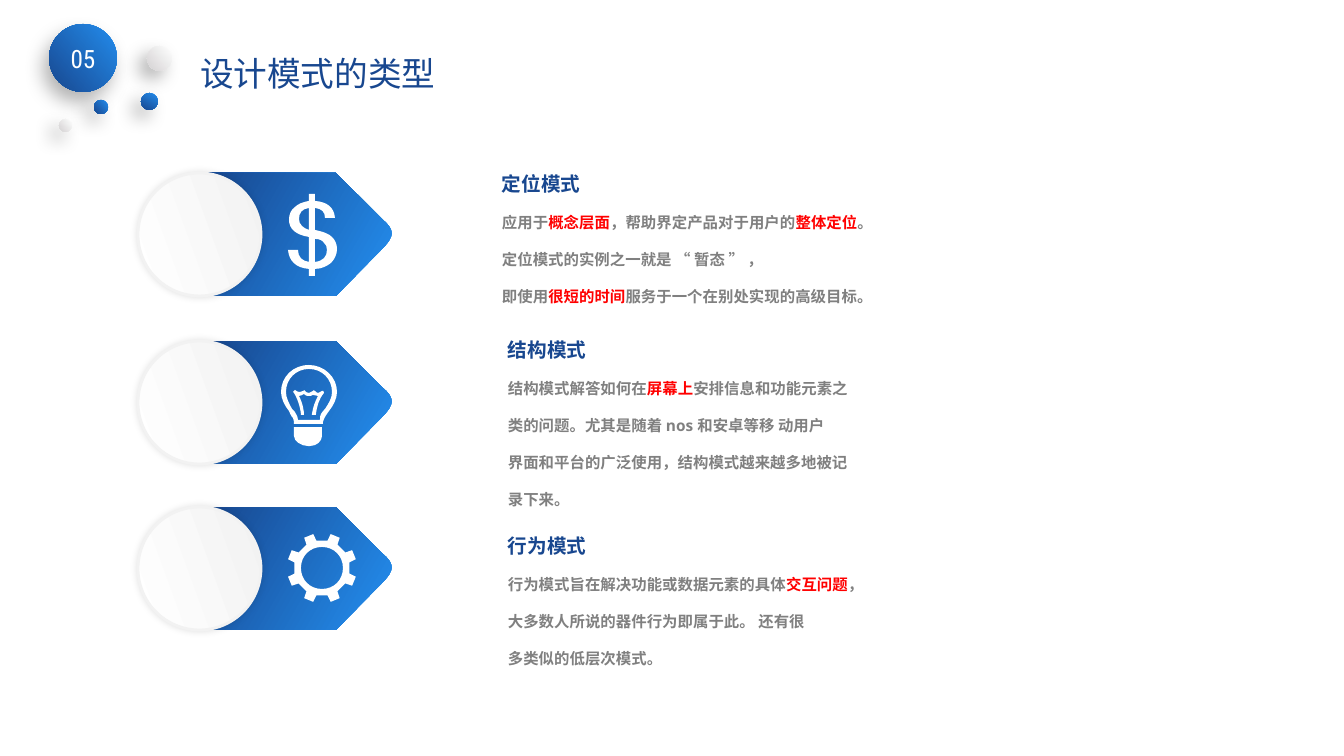
from math import cos, radians, sin

from lxml import etree
from pptx import Presentation
from pptx.dml.color import RGBColor
from pptx.enum.shapes import MSO_SHAPE
from pptx.enum.text import MSO_ANCHOR, MSO_AUTO_SIZE, PP_ALIGN
from pptx.oxml.ns import qn
from pptx.util import Pt

PX = 914400 / 100.8
OVAL = MSO_SHAPE.OVAL
TOP, MIDDLE = MSO_ANCHOR.TOP, MSO_ANCHOR.MIDDLE
LEFT, CENTER = PP_ALIGN.LEFT, PP_ALIGN.CENTER
GROW = MSO_AUTO_SIZE.SHAPE_TO_FIT_TEXT
hue = RGBColor.from_string
NAVY, WHITE, GRAY, RED, PALE = "18478F", "FFFFFF", "808080", "FF0000", "F2F2F2"
BLUE = ("238DED", NAVY)
SILVER = (WHITE, "D4D2D3")
FONT = "Open Sans"


def paint(shape, tones, angle=0, shadow=None):
    """Fill with one tone or a clockwise gradient; shadow is alpha, blur, distance, direction."""
    shape.line.fill.background()
    if len(tones) == 1:
        shape.fill.solid()
        shape.fill.fore_color.rgb = hue(tones[0])
    else:
        shape.fill.gradient()
        shape.fill.gradient_angle = 360 - angle
        for stop, tone in zip(shape.fill.gradient_stops, tones):
            stop.color.rgb = hue(tone)
    shape.shadow.inherit = False
    if shadow:
        alpha, blur, dist, way = shadow
        effects = shape._element.spPr.find(qn("a:effectLst"))
        cast = etree.SubElement(effects, qn("a:outerShdw"), blurRad=str(Pt(blur)),
                                dist=str(Pt(dist)), dir=str(way * 60000), rotWithShape="0")
        tone = etree.SubElement(cast, qn("a:srgbClr"), val="000000")
        etree.SubElement(tone, qn("a:alpha"), val=str(alpha * 1000))


def trace(loops):
    """Draw closed loops of px points; a group of six numbers is a Bezier curve."""
    pen = None
    for start, *parts in loops:
        x, y = [n * PX for n in start]
        if pen is None:
            pen = slide.shapes.build_freeform(x, y, scale=1.0)
        else:
            pen.move_to(x, y)
        pen.add_line_segments([(part[-2] * PX, part[-1] * PX) for part in parts], close=False)
        pen.add_line_segments([], close=True)
    shape = pen.convert_to_shape()
    lines = list(shape._element.iter(qn("a:lnTo")))
    parts = [part for loop in loops for part in loop[1:]]
    for line, part in zip(lines, parts):
        if len(part) == 6:
            line.tag = qn("a:cubicBezTo")
            line.remove(line[0])
            for x, y in zip(part[::2], part[1::2]):
                etree.SubElement(line, qn("a:pt"), x=str(round(x * PX - shape.left)),
                                 y=str(round(y * PX - shape.top)))
    return shape


deck = Presentation()
deck.slide_width, deck.slide_height = round(1344 * PX), round(756 * PX)
slide = deck.slides.add_slide(deck.slide_layouts[5])

# Title
title = slide.shapes.title
title.left, title.top, title.width, title.height = [round(n * PX) for n in (190, 48, 267, 50)]
frame = title.text_frame
frame.word_wrap, frame.auto_size, frame.vertical_anchor = True, GROW, TOP
para = frame.paragraphs[0]
para.alignment = LEFT
run = para.add_run()
run.text = "设计模式的类型"
run.font.name, run.font.size, run.font.color.rgb = FONT, Pt(24), hue(NAVY)

# Number ball and its small companions
balls = [
    (49, 24, 68, BLUE, 140, (30, 14, 8, 120), "05"),
    (147, 46, 25, SILVER, 140, (30, 13, 8, 135), ""),
    (59, 119, 13, SILVER, 140, (30, 13, 8, 135), ""),
    (94, 100, 14, BLUE, 140, (30, 13, 8, 135), ""),
    (141, 93, 17, BLUE, 120, (30, 13, 8, 135), ""),
]
for x, y, size, tones, angle, shadow, label in balls:
    ball = slide.shapes.add_shape(OVAL, *[round(n * PX) for n in (x, y, size, size)])
    paint(ball, tones, angle, shadow)
    if label:
        ball.text_frame.vertical_anchor = MIDDLE
        para = ball.text_frame.paragraphs[0]
        para.alignment = CENTER
        run = para.add_run()
        run.text = label
        run.font.name, run.font.size = "Roboto Condensed", Pt(18)
        run.font.color.rgb = hue(WHITE)

# Arrows with discs
for y in (173, 341, 507):
    arrow = trace([[(336, y), (383, y + 47), (395, y + 57, 394, y + 64, 383, y + 75),
                    (336, y + 123), (207, y + 123), (207, y)]])
    paint(arrow, BLUE, 210)
    disc = slide.shapes.add_shape(OVAL, *[round(n * PX) for n in (138, y, 123, 123)])
    paint(disc, (WHITE, PALE), 340, (11, 5, 0, 0))
    disc.line.color.rgb = hue(PALE)
    disc.line.width = Pt(2)

# Icons
dollar = [
    [(315, 230), (324, 232, 329, 234, 332, 237), (335, 240, 337, 244, 337, 249),
     (337, 254, 335, 259, 331, 263), (327, 266, 322, 269, 315, 269), (315, 276), (309, 276),
     (309, 269), (296, 268, 289, 261, 288, 250), (298, 250), (298, 257, 302, 261, 309, 262),
     (309, 237), (296, 235, 289, 229, 289, 220), (289, 214, 291, 210, 295, 207),
     (298, 204, 303, 202, 309, 201), (309, 194), (315, 194), (315, 201),
     (327, 202, 334, 207, 335, 218), (325, 218), (325, 212, 322, 209, 315, 208)],
    [(309, 230), (309, 208), (302, 209, 299, 213, 299, 219), (299, 222, 300, 224, 302, 226),
     (304, 228, 306, 229, 309, 230)],
    [(315, 262), (323, 261, 327, 257, 327, 250), (327, 247, 326, 244, 324, 243),
     (323, 241, 320, 239, 315, 239)],
]
glass = [
    [(323, 424), (294, 424), (294, 422), (294, 421, 293, 417, 292, 417),
     (291, 416, 290, 413, 289, 411), (285, 406, 281, 399, 281, 392),
     (281, 377, 293, 365, 309, 365), (324, 365, 337, 377, 337, 392),
     (337, 399, 333, 406, 329, 411), (327, 413, 326, 416, 325, 417),
     (325, 417, 323, 421, 323, 422)],
    [(298, 420), (320, 420), (320, 418, 320, 415, 321, 414), (322, 412, 324, 410, 325, 409),
     (329, 403, 332, 398, 332, 392), (332, 379, 322, 369, 309, 369),
     (296, 369, 286, 379, 286, 392), (286, 398, 289, 403, 292, 409),
     (294, 410, 295, 412, 296, 414), (297, 415, 298, 418, 298, 420)],
]
socket = [[(294, 427), (294, 436), (294, 441, 301, 446, 308, 446), (310, 446),
           (317, 446, 322, 441, 322, 436), (322, 427)]]
wire = [[(324, 393), (319, 399, 317, 406, 316, 414), (316, 415), (312, 415), (312, 414),
         (313, 407, 315, 402, 318, 396), (316, 396, 315, 396, 313, 395),
         (312, 396, 310, 396, 309, 396), (307, 396, 305, 396, 304, 394),
         (302, 395, 301, 396, 299, 396), (303, 404, 304, 411, 304, 415), (301, 415),
         (301, 412, 299, 401, 294, 393), (293, 392), (293, 391, 294, 390, 295, 390),
         (296, 391, 298, 392, 299, 392), (300, 392, 301, 392, 303, 391),
         (304, 390, 305, 390, 305, 391), (306, 392, 307, 393, 309, 393),
         (311, 393, 312, 392, 313, 391), (313, 390, 314, 390, 315, 391),
         (316, 392, 317, 393, 318, 393), (319, 393, 320, 392, 322, 391),
         (323, 390, 324, 391, 324, 393)]]
teeth = [(322 + reach * cos(radians(tooth * 45 + 22.5 + turn)),
          568 + reach * sin(radians(tooth * 45 + 22.5 + turn)))
         for tooth in range(8) for turn, reach in ((-11, 28), (-8, 35), (8, 35), (11, 28))]
hole = [(322, 589), (310, 589, 301, 580, 301, 568), (301, 556, 310, 547, 322, 547),
        (334, 547, 343, 556, 343, 568), (343, 580, 334, 589, 322, 589)]
for icon in (dollar, glass, socket, wire, [teeth, hole]):
    paint(trace(icon), (WHITE,))

# Text blocks: asterisks enclose the red words
blocks = [
    (492, 143, 381, 169, "定位模式", [
        "应用于*概念层面*，帮助界定产品对于用户的*整体定位*。定位模式的实例之一就是 “ 暂态 ” ，",
        "即使用*很短的时间*服务于一个在别处实现的高级目标。"]),
    (498, 309, 369, 207, "结构模式", [
        "结构模式解答如何在*屏幕上*安排信息和功能元素之类的问题。尤其是随着 nos 和安卓等移 动用户",
        "界面和平台的广泛使用，结构模式越来越多地被记录下来。"]),
    (498, 505, 381, 169, "行为模式", [
        "行为模式旨在解决功能或数据元素的具体*交互问题*，大多数人所说的器件行为即属于此。 还有很",
        "多类似的低层次模式。"]),
]
for x, y, wide, high, head, lines in blocks:
    frame = slide.shapes.add_textbox(*[round(n * PX) for n in (x, y, wide, high)]).text_frame
    frame.word_wrap, frame.auto_size = True, GROW
    for row, line in enumerate([head] + lines):
        para = frame.add_paragraph() if row else frame.paragraphs[0]
        para.line_spacing = 2.0
        for turn, words in enumerate(line.split("*")):
            run = para.add_run()
            run.text = words
            run.font.name, run.font.bold = FONT, True
            run.font.size = Pt(11 if row else 14)
            run.font.color.rgb = hue(RED if turn % 2 else GRAY if row else NAVY)

deck.save("out.pptx")
